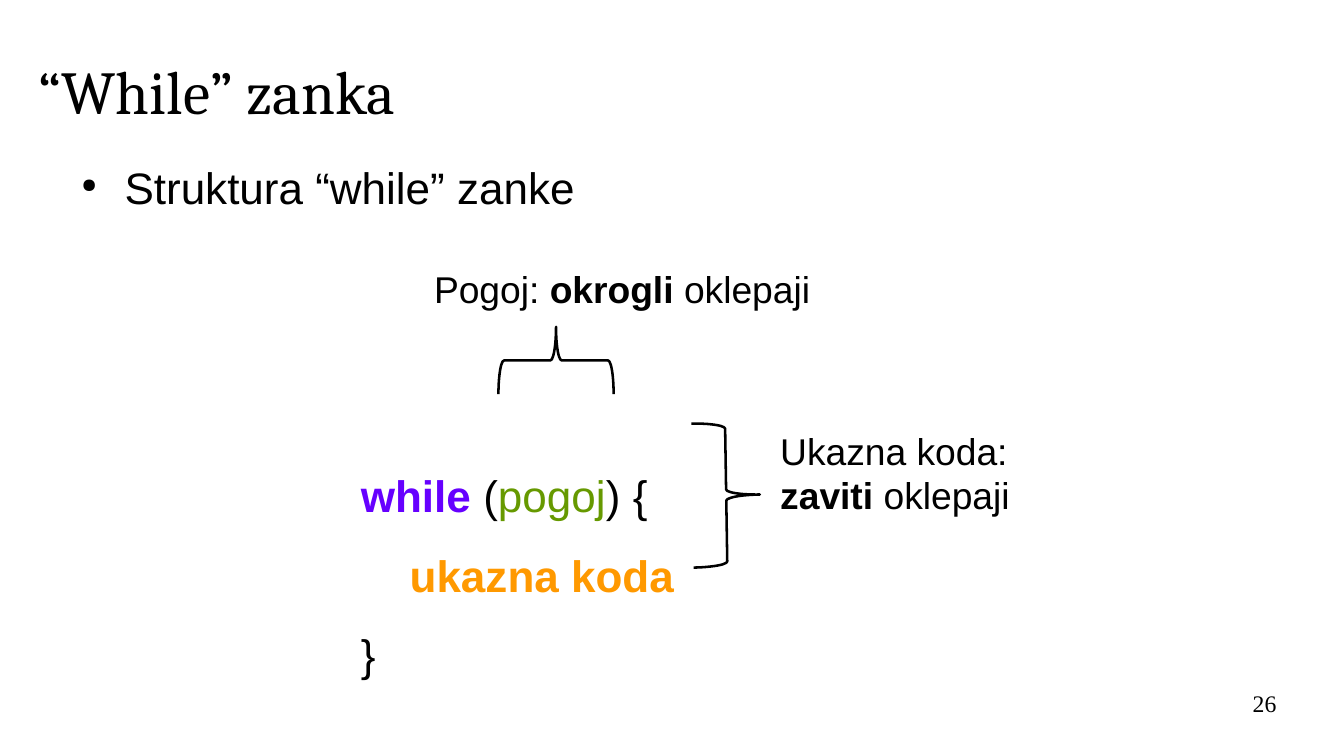
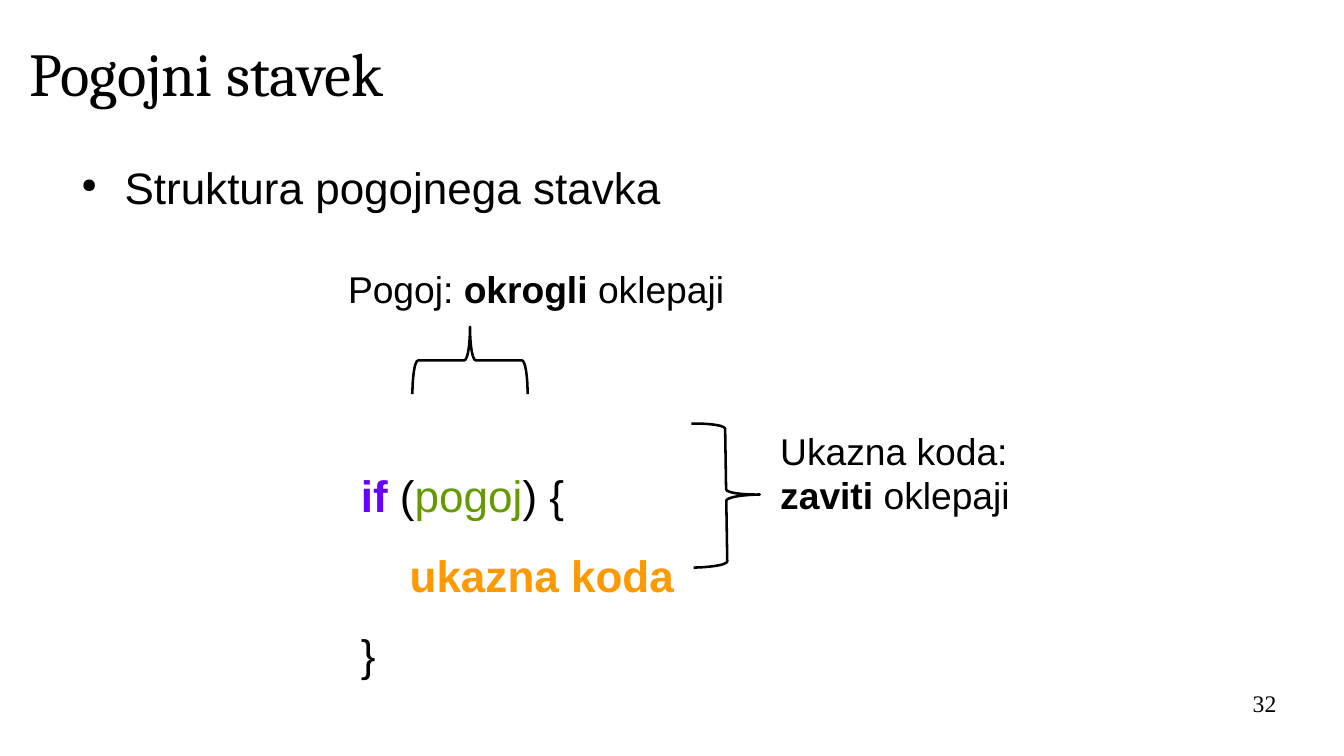
from dataclasses import dataclass

from lxml.etree import SubElement
from pptx import Presentation
from pptx.dml.color import RGBColor
from pptx.enum.shapes import MSO_SHAPE
from pptx.enum.text import MSO_ANCHOR, PP_ALIGN
from pptx.oxml.ns import qn
from pptx.util import Pt


@dataclass(frozen=True)
class Theme:
    """Colours, fonts and type sizes shared by the slides."""

    ink: str = "000000"
    keyword: str = "6600FF"
    condition: str = "669900"
    command: str = "FF9900"
    title_font: str = "Cambria"
    body_font: str = "Arial"
    number_font: str = "Times New Roman"
    title_size: float = 36
    body_size: float = 26
    label_size: float = 22
    number_size: float = 14
    code_gap: float = 15.8
    brace_width: float = 1.5


@dataclass(frozen=True)
class Box:
    """A rectangle in points."""

    left: float
    top: float
    width: float
    height: float

    def inside(self, left, top, width, height):
        """Return a box placed relative to this one."""
        return Box(self.left + left, self.top + top, width, height)

    def lengths(self):
        """Return the four lengths for python-pptx."""
        return Pt(self.left), Pt(self.top), Pt(self.width), Pt(self.height)


@dataclass(frozen=True)
class Statement:
    """The content and placing that set one statement slide apart."""

    title: str
    title_box: Box
    topic: str
    keyword: str
    condition_left: float
    number: str


THEME = Theme()
BODY = Box(39.6, 92.2, 714.2, 304.6)
NUMBER = Box(568.8, 406.8, 185, 31)
STATEMENTS = (
    Statement("“While” zanka", Box(23, 15.8, 714.2, 74.9),
              "Struktura “while” zanke", "while", 209.5, "26"),
    Statement("Pogojni stavek", Box(17.3, 10.8, 714.2, 63.4),
              "Struktura pogojnega stavka", "if", 158.7, "32"),
)


def add_text(slide, box, lines, size, font=THEME.body_font, gap=0,
             align=PP_ALIGN.LEFT, anchor=MSO_ANCHOR.TOP):
    """Add a text box whose lines are lists of (text, colour, bold) runs."""
    frame = slide.shapes.add_textbox(*box.lengths()).text_frame
    frame.word_wrap = True
    frame.vertical_anchor = anchor
    frame.margin_left = frame.margin_top = 0
    frame.margin_right = frame.margin_bottom = 0
    for index, runs in enumerate(lines):
        paragraph = frame.add_paragraph() if index else frame.paragraphs[0]
        paragraph.alignment = align
        paragraph.space_before = Pt(gap if index else 0)
        paragraph.font.size = Pt(size)
        paragraph.font.name = font
        for text, colour, bold in runs:
            run = paragraph.add_run()
            run.text = text
            run.font.bold = bold
            run.font.color.rgb = RGBColor.from_string(colour)
    return frame


def add_bullet(paragraph):
    """Give a paragraph a small round bullet and a hanging indent."""
    properties = paragraph._p.get_or_add_pPr()
    properties.set("marL", str(Pt(34)))
    properties.set("indent", str(Pt(-25.5)))
    parts = (SubElement(properties, qn("a:buClr")),
             SubElement(properties, qn("a:buSzPct"), val="45000"),
             SubElement(properties, qn("a:buChar"), char="●"))
    SubElement(parts[0], qn("a:srgbClr"), val=THEME.ink)
    for position, part in enumerate(parts):
        properties.remove(part)
        default = properties.find(qn("a:defRPr"))
        if default is None:
            properties.append(part)
        else:
            default.addprevious(part)


def add_brace(slide, box, rotation):
    """Draw a turned curly brace."""
    shape = slide.shapes.add_shape(MSO_SHAPE.LEFT_BRACE, *box.lengths())
    shape.rotation = rotation
    shape.shadow.inherit = False
    shape.fill.background()
    shape.line.color.rgb = RGBColor.from_string(THEME.ink)
    shape.line.width = Pt(THEME.brace_width)


def add_topic(slide, box, topic):
    """Place the bulleted topic line at the top of the body."""
    frame = add_text(slide, box.inside(0, 2.3, box.width, 32),
                     [[(topic, THEME.ink, False)]], THEME.body_size)
    add_bullet(frame.paragraphs[0])


def add_code(slide, box, keyword):
    """Place the statement pattern in the lower part of the body."""
    lines = [
        [(keyword + " ", THEME.keyword, True), ("(", THEME.ink, False),
         ("pogoj", THEME.condition, False), (") {", THEME.ink, False)],
        [("    ukazna koda", THEME.command, True)],
        [("}", THEME.ink, False)],
    ]
    add_text(slide, box.inside(173.5, 184.6, 230, 122), lines,
             THEME.body_size, gap=THEME.code_gap)


def add_condition_callout(slide, box):
    """Place the condition label with the brace below it."""
    label = [("Pogoj: ", THEME.ink, False), ("okrogli", THEME.ink, True),
             (" oklepaji", THEME.ink, False)]
    add_text(slide, box.inside(7.2, 3.6, box.width - 14.4, 28), [label],
             THEME.label_size)
    add_brace(slide, box.inside(59.4, 25.4, 39.7, 68), 90)


def add_command_callout(slide, box):
    """Place the brace beside the code and its label."""
    add_brace(slide, box.inside(0, 0.7, 39.7, 85), 179.1)
    lines = [[("Ukazna koda:", THEME.ink, False)],
             [("zaviti", THEME.ink, True), (" oklepaji", THEME.ink, False)]]
    add_text(slide, box.inside(51.8, 3.6, 150, 56), lines, THEME.label_size)


def add_statement_slide(presentation, statement):
    """Build one slide that explains the pattern of a statement."""
    slide = presentation.slides.add_slide(presentation.slide_layouts[6])
    add_text(slide, statement.title_box,
             [[(statement.title, THEME.ink, False)]], THEME.title_size,
             THEME.title_font, anchor=MSO_ANCHOR.MIDDLE)
    add_topic(slide, BODY, statement.topic)
    add_code(slide, BODY, statement.keyword)
    add_condition_callout(
        slide, BODY.inside(statement.condition_left, 61.2, 368.6, 93.4))
    add_command_callout(slide, BODY.inside(369.4, 156.9, 216, 86))
    add_text(slide, NUMBER, [[(statement.number, THEME.ink, False)]],
             THEME.number_size, THEME.number_font, align=PP_ALIGN.RIGHT)


def main():
    """Build and save the presentation."""
    presentation = Presentation()
    presentation.slide_width = Pt(793.7)
    presentation.slide_height = Pt(446.4)
    for statement in STATEMENTS:
        add_statement_slide(presentation, statement)
    presentation.save("out.pptx")


if __name__ == "__main__":
    main()
